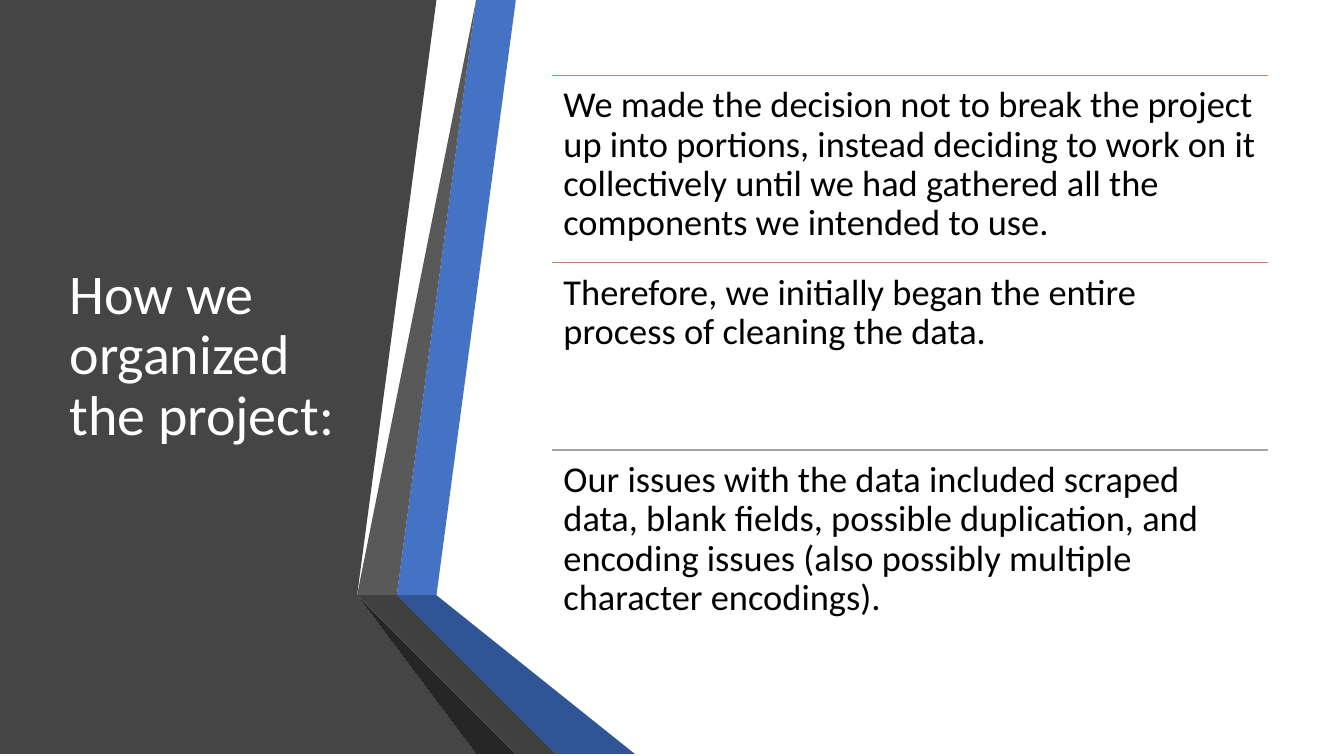
from lxml import etree
from pptx import Presentation
from pptx.dml.color import RGBColor
from pptx.enum.shapes import MSO_CONNECTOR
from pptx.enum.text import MSO_ANCHOR, MSO_AUTO_SIZE, PP_ALIGN
from pptx.oxml.ns import qn
from pptx.util import Cm, Pt

WIDTH, HEIGHT = 33.87, 19.05
FONT = "Calibri"
TITLE = "Ηow we organized the project:"
COLOURS = {
    "panel": "454545",
    "blue": "4472C4",
    "grey": "595959",
    "grey edge": "262626",
    "blue edge": "203864",
    "blue fold": "2F5597",
    "grey fold": "404040",
    "white": "FFFFFF",
    "black": "000000",
    "orange rule": "ED7D31",
    "rose rule": "C48170",
    "silver rule": "A5A5A5",
}

# Outlines in centimetres, from back to front
RIBBONS = [
    ("panel", [(0, 0), (11.4, 0), (9.04, 14.61), (12.24, HEIGHT), (0, HEIGHT)]),
    ("blue", [(10.06, 14.68), (10.74, 14.81), (13.18, 0), (12.47, 0)]),
    ("grey", [(12.32, 0), (11.61, 0), (9.22, 14.55), (9.91, 14.66)]),
    ("grey edge", [(9.22, 14.55), (12.47, HEIGHT), (12.62, HEIGHT)]),
    ("blue edge", [(10.06, 14.71), (14.07, HEIGHT), (14.22, HEIGHT)]),
    ("blue fold", [(10.06, 14.68), (14.22, HEIGHT), (15.98, HEIGHT), (10.74, 14.81)]),
    ("grey fold", [(13.92, HEIGHT), (10.03, 14.81), (9.88, 14.68), (9.22, 14.55),
                   (12.62, HEIGHT)]),
]

STATEMENTS = [
    ("orange rule", "We made the decision not to break the project up into portions, "
                    "instead deciding to work on it collectively until we had gathered "
                    "all the components we intended to use."),
    ("rose rule", "Therefore, we initially began the entire process of cleaning the data."),
    ("silver rule", "Our issues with the data included scraped data, blank fields, "
                    "possible duplication, and encoding issues (also possibly multiple "
                    "character encodings)."),
]
LEFT, TOP, ROW_WIDTH, ROW_HEIGHT = 13.92, 1.9, 18.03, 4.72


def rgb(name):
    return RGBColor.from_string(COLOURS[name])


def place(sp, left, top, width, height):
    sp.left, sp.top, sp.width, sp.height = Cm(left), Cm(top), Cm(width), Cm(height)


def write(sp, text, size, colour, anchor):
    tf = sp.text_frame
    tf.text = text
    tf.word_wrap = True
    tf.auto_size = MSO_AUTO_SIZE.NONE
    tf.vertical_anchor = anchor
    p = tf.paragraphs[0]
    p.alignment = PP_ALIGN.LEFT
    p.line_spacing = 0.9
    font = p.runs[0].font
    font.name, font.size = FONT, Pt(size)
    font.color.rgb = rgb(colour)
    return tf


def add_ribbon(s, colour, points):
    builder = s.shapes.build_freeform(*points[0], scale=Cm(1))
    builder.add_line_segments(points[1:], close=True)
    sp = builder.convert_to_shape()
    sp.shadow.inherit = False
    sp.fill.solid()
    sp.fill.fore_color.rgb = rgb(colour)
    sp.line.fill.background()


def add_title(s):
    sp = s.shapes.title
    s.shapes._spTree.append(sp._element)  # bring in front of the panel
    place(sp, 1.5, 1.9, 7.72, 14.17)
    write(sp, TITLE, 40, "white", MSO_ANCHOR.MIDDLE)


def add_rule(s, colour, top):
    line = s.shapes.add_connector(MSO_CONNECTOR.STRAIGHT, Cm(LEFT), Cm(top),
                                  Cm(LEFT + ROW_WIDTH), Cm(top))
    line.line.color.rgb = rgb(colour)
    line.line.width = Pt(1)
    etree.SubElement(line._element.spPr, qn("a:effectLst"))


def add_statement(s, text, top):
    sp = s.shapes.add_textbox(Cm(LEFT), Cm(top), Cm(ROW_WIDTH), Cm(ROW_HEIGHT))
    tf = write(sp, text, 26, "black", MSO_ANCHOR.TOP)
    tf.margin_left = tf.margin_right = tf.margin_top = tf.margin_bottom = Cm(0.28)


def main():
    prs = Presentation()
    prs.slide_width, prs.slide_height = Cm(WIDTH), Cm(HEIGHT)
    s = prs.slides.add_slide(prs.slide_layouts.get_by_name("Title Only"))
    for colour, points in RIBBONS:
        add_ribbon(s, colour, points)
    add_title(s)
    for i, (colour, text) in enumerate(STATEMENTS):
        top = TOP + i * ROW_HEIGHT
        add_rule(s, colour, top)
        add_statement(s, text, top)
    prs.save("out.pptx")


if __name__ == "__main__":
    main()
